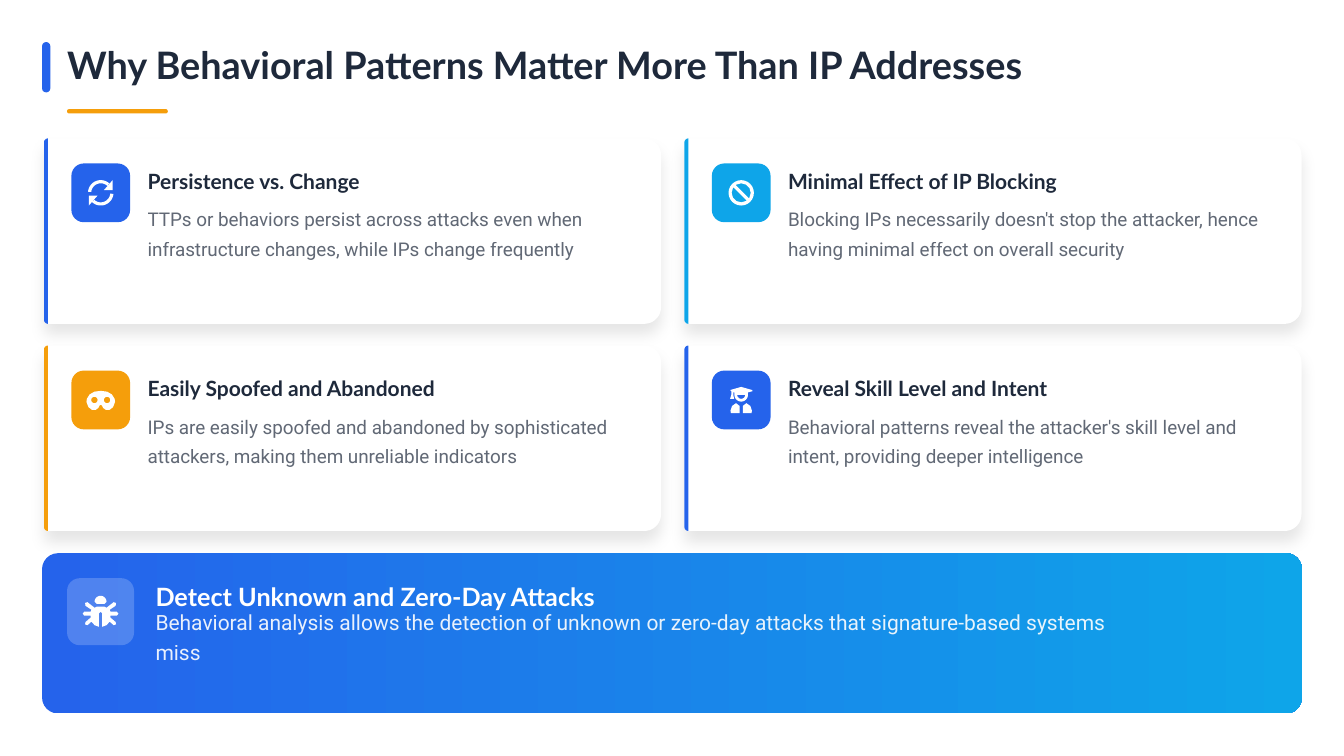
"""Build a slide on why behavioral patterns matter more than IP addresses."""
from math import cos, radians, sin

from lxml.etree import SubElement
from pptx import Presentation
from pptx.dml.color import RGBColor
from pptx.enum.shapes import MSO_SHAPE as Preset
from pptx.enum.text import MSO_ANCHOR as Anchor, MSO_AUTO_SIZE as AutoSize, PP_ALIGN as Align
from pptx.oxml.ns import qn
from pptx.util import Cm, Pt

BLUE, SKY, AMBER, INK, WHITE = "2563EB", "0EA5E9", "F59E0B", "1E293B", "FFFFFF"
TITLE = "Why Behavioral Patterns Matter More Than IP Addresses"
CARDS = [
    ("Persistence vs. Change",
     "TTPs or behaviors persist across attacks even when infrastructure changes, "
     "while IPs change frequently", BLUE, "refresh"),
    ("Minimal Effect of IP Blocking",
     "Blocking IPs necessarily doesn't stop the attacker, hence having minimal effect "
     "on overall security", SKY, "ban"),
    ("Easily Spoofed and Abandoned",
     "IPs are easily spoofed and abandoned by sophisticated attackers, making them "
     "unreliable indicators", AMBER, "mask"),
    ("Reveal Skill Level and Intent",
     "Behavioral patterns reveal the attacker's skill level and intent, providing "
     "deeper intelligence", BLUE, "graduate"),
]
BANNER = ("Detect Unknown and Zero-Day Attacks",
          "Behavioral analysis allows the detection of unknown or zero-day attacks that "
          "signature-based systems miss")
CARD_LEFT, CARD_TOP, CARD_WIDTH, CARD_HEIGHT = 1.11, 3.49, 15.55, 4.67
COLUMN_STEP, ROW_STEP, TILE = 16.14, 5.22, 1.48
BANNER_TILE = 1.69


def arc(x, y, radius, start, end, steps=24):
    angles = [radians(start + (end - start) * i / steps) for i in range(steps + 1)]
    return [(x + radius * cos(a), y + radius * sin(a)) for a in angles]


def mirror(points):
    return [(-x, y) for x, y in reversed(points)]


def turn(points):
    return [(-x, -y) for x, y in points]


ARROW_ARC = arc(0, 0, 0.32, 185, 312) + arc(0, 0, 0.24, 312, 185)
ARROW_HEAD = [(0.3, -0.32), (0.3, -0.07), (0.08, -0.07)]
MASK_HALF = [(0, -0.23), (-0.16, -0.21), (-0.28, -0.14), (-0.35, -0.03), (-0.36, 0.05),
             (-0.31, 0.18), (-0.22, 0.25), (-0.13, 0.25), (-0.06, 0.2), (-0.03, 0.14), (0, 0.12)]
CAP_AND_HEAD = [(0, -0.33), (0.28, -0.25), (0.28, -0.22), (0.17, -0.19),
                *arc(0, -0.13, 0.17, 0, 180), (-0.17, -0.19), (-0.2, -0.2), (-0.2, -0.13),
                (-0.18, -0.03), (-0.28, -0.03), (-0.25, -0.13), (-0.25, -0.22), (-0.28, -0.25)]
GOWN_HALF = [(-0.13, 0.08), (-0.04, 0.15), (-0.04, 0.33), (-0.26, 0.33), (-0.27, 0.27),
             (-0.23, 0.15)]
BUG_HALF = [(0, -0.13), (0.09, -0.13), (0.15, -0.1), (0.33, -0.24), (0.39, -0.22),
            (0.38, -0.15), (0.23, -0.05), (0.25, 0), (0.41, 0), (0.45, 0.05), (0.41, 0.1),
            (0.25, 0.1), (0.25, 0.15), (0.38, 0.26), (0.39, 0.32), (0.33, 0.34), (0.23, 0.25),
            (0.15, 0.34), (0.04, 0.38), (0.04, 0.04), (0, 0)]
ICONS = {
    "refresh": [ARROW_ARC, ARROW_HEAD, turn(ARROW_ARC), turn(ARROW_HEAD)],
    "mask": [MASK_HALF + mirror(MASK_HALF),
             *(arc(x, 0, 0.08, 360, 0) for x in (-0.16, 0.16))],
    "graduate": [CAP_AND_HEAD, arc(0, -0.13, 0.1, 180, 0), GOWN_HALF, mirror(GOWN_HALF)],
    "bug": [arc(0, -0.25, 0.15, 180, 360) + [(0.1, -0.2), (-0.1, -0.2)],
            BUG_HALF + mirror(BUG_HALF)],
}


def set_alpha(fill_parent, percent):
    color = next(fill_parent.iter(qn("a:srgbClr")))
    SubElement(color, qn("a:alpha"), val=str(percent * 1000))


def paint(shape, color):
    shape.shadow.inherit = False
    shape.line.fill.background()
    shape.fill.solid()
    shape.fill.fore_color.rgb = RGBColor.from_string(color)
    return shape


def add_outline(page, contours, left, top, color):
    placed = [[(Cm(left + x), Cm(top + y)) for x, y in points] for points in contours]
    builder = page.shapes.build_freeform(*placed[0][0])
    for points in placed:
        if points is not placed[0]:
            builder.move_to(*points[0])
        builder.add_line_segments(points[1:], close=True)
    return paint(builder.convert_to_shape(), color)


def add_preset(page, preset, left, top, width, height, color, adjust):
    shape = page.shapes.add_shape(preset, Cm(left), Cm(top), Cm(width), Cm(height))
    shape.adjustments[0] = adjust
    return paint(shape, color)


def write(box, text, font, size, color, spacing, bold=False, alpha=100):
    frame = box.text_frame
    frame.word_wrap, frame.auto_size = True, AutoSize.NONE
    frame.vertical_anchor = Anchor.MIDDLE
    frame.margin_left = frame.margin_right = frame.margin_top = frame.margin_bottom = 0
    para = frame.paragraphs[0]
    para.alignment, para.line_spacing = Align.LEFT, spacing
    span = para.add_run()
    span.text = text
    span.font.name, span.font.size, span.font.bold = font, Pt(size), bold
    span.font.color.rgb = RGBColor.from_string(color)
    if alpha < 100:
        set_alpha(span.font._element, alpha)


def add_text(page, left, top, width, height, *style, **options):
    box = page.shapes.add_textbox(Cm(left), Cm(top), Cm(width), Cm(height))
    write(box, *style, **options)


def add_icon(page, name, x, y):
    if name == "ban":
        add_preset(page, Preset.NO_SYMBOL, x - 0.32, y - 0.32, 0.64, 0.64, WHITE, 0.125)
    else:
        add_outline(page, ICONS[name], x, y, WHITE)


def add_card(page, left, top, heading, body, color, icon):
    near, far = 0.1, 0.42
    left_edge = (arc(near, CARD_HEIGHT - near, near, 90, 180)
                 + arc(near, near, near, 180, 270))
    right_edge = (arc(CARD_WIDTH - far, far, far, -90, 0)
                  + arc(CARD_WIDTH - far, CARD_HEIGHT - far, far, 0, 90))
    panel = add_outline(page, [left_edge + right_edge], left, top, WHITE)
    effects = panel._element.spPr.find(qn("a:effectLst"))
    shadow = SubElement(effects, qn("a:outerShdw"), blurRad=str(Pt(11.2)), dist=str(Pt(7.5)),
                        dir="5400000", algn="ctr", rotWithShape="0")
    SubElement(shadow, qn("a:srgbClr"), val="000000")
    set_alpha(shadow, 10)
    add_outline(page, [left_edge], left, top, color)
    tile_left, tile_top, text_left = left + 0.69, top + 0.63, left + 2.61
    add_preset(page, Preset.ROUNDED_RECTANGLE, tile_left, tile_top, TILE, TILE, color, 0.21)
    add_icon(page, icon, tile_left + TILE / 2, tile_top + TILE / 2)
    add_text(page, text_left, tile_top, 12.6, 0.74, heading, "Lato", 15, INK, 1.2, bold=True)
    add_text(page, text_left, top + 1.59, 12.57, 1.47, body, "Roboto", 13.5, INK, 1.3, alpha=70)


def add_banner(page, heading, body):
    left, top, tile_left, tile_top = 1.06, 13.94, 1.69, 14.57
    panel = add_preset(page, Preset.ROUNDED_RECTANGLE, left, top, 31.75, 4.04, BLUE, 0.1)
    panel.fill.gradient()
    panel.fill.gradient_angle = 0
    for stop, color, position in zip(panel.fill.gradient_stops, (BLUE, SKY), (0, 1)):
        stop.color.rgb = RGBColor.from_string(color)
        stop.position = position
    tile = add_preset(page, Preset.ROUNDED_RECTANGLE, tile_left, tile_top,
                      BANNER_TILE, BANNER_TILE, WHITE, 0.19)
    set_alpha(tile._element.spPr, 20)
    add_icon(page, "bug", tile_left + BANNER_TILE / 2, tile_top + BANNER_TILE / 2)
    add_text(page, 3.92, tile_top, 24.84, 0.84, heading, "Lato", 18, WHITE, 1.1, bold=True)
    add_text(page, 3.92, 15.62, 24.79, 0.74, body, "Roboto", 15, WHITE, 1.2, alpha=90)


def main():
    deck = Presentation()
    deck.slide_width, deck.slide_height = Cm(33.87), Cm(19.05)
    page = deck.slides.add_slide(deck.slide_layouts[5])
    title = page.shapes.title
    title.left, title.top, title.width, title.height = Cm(1.69), Cm(1.16), Cm(25.5), Cm(1.06)
    write(title, TITLE, "Lato", 27, INK, 0.9, bold=True)
    add_preset(page, Preset.ROUNDED_RECTANGLE, 1.06, 1.06, 0.21, 1.27, BLUE, 0.5)
    add_preset(page, Preset.ROUNDED_RECTANGLE, 1.69, 2.75, 2.54, 0.11, AMBER, 0.5)
    for i, card in enumerate(CARDS):
        row, column = divmod(i, 2)
        add_card(page, CARD_LEFT + column * COLUMN_STEP, CARD_TOP + row * ROW_STEP, *card)
    add_banner(page, *BANNER)
    deck.save("out.pptx")


if __name__ == "__main__":
    main()
